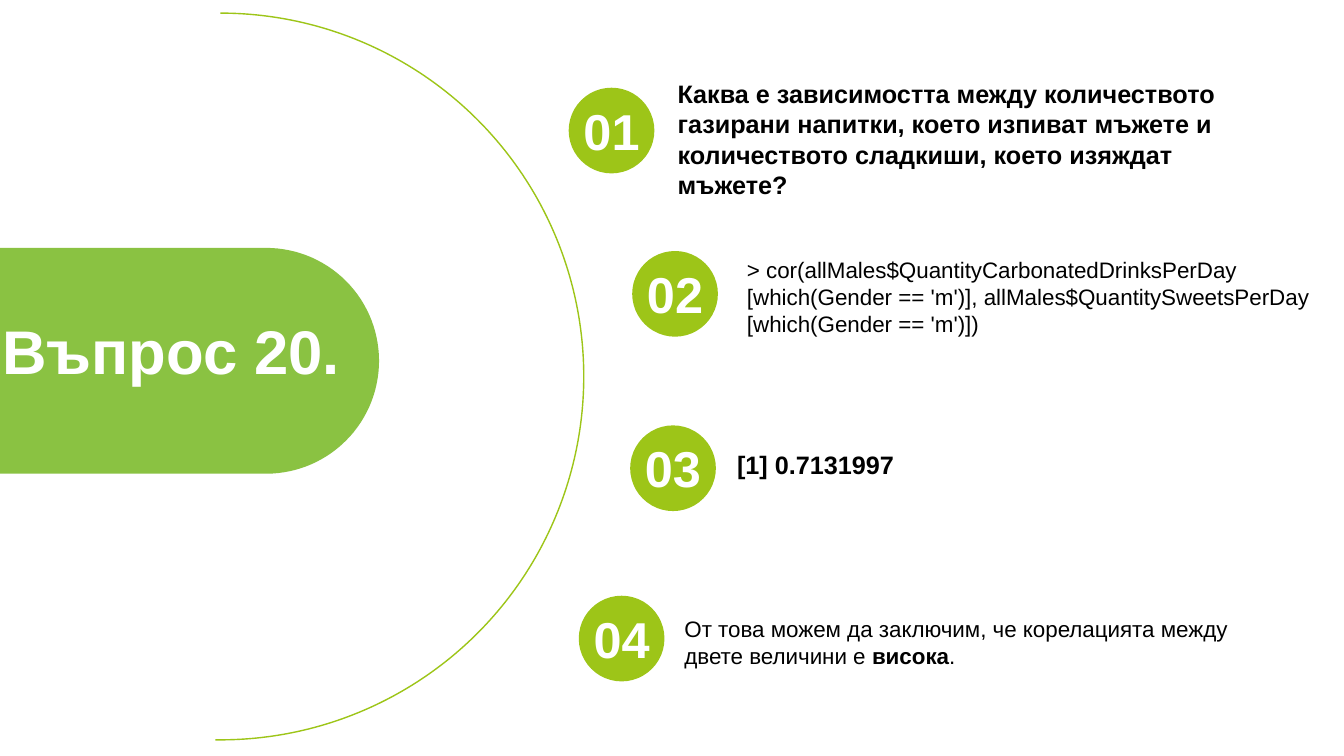
import math
from dataclasses import dataclass

from lxml import etree
from pptx import Presentation
from pptx.dml.color import RGBColor
from pptx.enum.shapes import MSO_SHAPE
from pptx.enum.text import MSO_ANCHOR, PP_ALIGN
from pptx.oxml.ns import qn
from pptx.util import Inches, Pt

ARC, OVAL = MSO_SHAPE.ARC, MSO_SHAPE.OVAL
TOP, MIDDLE = MSO_ANCHOR.TOP, MSO_ANCHOR.MIDDLE
LEFT, CENTER = PP_ALIGN.LEFT, PP_ALIGN.CENTER
TITLE_ONLY = 5


@dataclass(frozen=True)
class Theme:
    font: str = "Arial"
    lime: RGBColor = RGBColor(0x9D, 0xC5, 0x18)
    green: RGBColor = RGBColor(0x79, 0xBA, 0x27)
    white: RGBColor = RGBColor(0xFF, 0xFF, 0xFF)
    black: RGBColor = RGBColor(0, 0, 0)
    title: int = 44
    number: int = 36
    strong: int = 18
    body: int = 16


THEME = Theme()
BADGE = 0.85

# Badge position, text box (left, top, width, height), inset, size, runs (text, bold)
STEPS = [
    ((5.64, 0.87), (6.6, 0.73, 6.26, 1.31), 0.12, THEME.strong,
     [("Каква е зависимостта между количеството газирани напитки, което "
       "изпиват мъжете и количеството сладкиши, което изяждат мъжете?", True)]),
    ((6.27, 2.49), (7.31, 2.49, 5.92, 0.91), 0.1, THEME.body,
     [("> cor(allMales$QuantityCarbonatedDrinksPerDay [which(Gender == 'm')], "
       "allMales$QuantitySweetsPerDay [which(Gender == 'm')])", False)]),
    ((6.25, 4.22), (7.19, 4.41, 5.91, 0.88), 0.12, THEME.strong,
     [("[1] 0.7131997", True)]),
    ((5.74, 5.91), (6.69, 6.05, 5.96, 0.64), 0.1, THEME.body,
     [("От това можем да заключим, че корелацията между двете величини е ", False),
      ("висока", True), (".", False)]),
]


def write(sp, runs, *, size, color=THEME.black, align=LEFT, anchor=TOP, inset=0.1):
    """Fill a shape with one paragraph of (text, bold) runs."""
    tf = sp.text_frame
    tf.word_wrap = True
    tf.vertical_anchor = anchor
    tf.margin_left = tf.margin_right = Inches(inset)
    tf.margin_top = tf.margin_bottom = Inches(0.05)
    p = tf.paragraphs[0]
    p.alignment = align
    p.line_spacing = 1.0
    for text, bold in runs:
        r = p.add_run()
        r.text = text
        r.font.name = THEME.font
        r.font.size = Pt(size)
        r.font.bold = bold
        r.font.color.rgb = color


def add_textbox(s, box, runs, **fmt):
    write(s.shapes.add_textbox(*map(Inches, box)), runs, **fmt)


def fill_plain(sp, color):
    sp.shadow.inherit = False
    sp.fill.solid()
    sp.fill.fore_color.rgb = color
    sp.line.fill.background()


def add_arc(s, left, top, size):
    sp = s.shapes.add_shape(ARC, Inches(left), Inches(top), Inches(size), Inches(size))
    # Angles in units of 100000/60000 degree: from 270 to about 91 degrees
    sp.adjustments[0], sp.adjustments[1] = 162, 54.458
    sp.shadow.inherit = False
    sp.fill.background()
    sp.line.color.rgb = THEME.lime
    sp.line.width = Pt(1)


def add_pill(s, top, width, height, opacity):
    """Band from the left slide edge with a half-round right end."""
    radius = height / 2
    cx, cy = width - radius, top + radius
    angles = [math.radians(a) for a in range(-90, 91, 3)]
    end = [(Inches(cx + radius * math.cos(a)), Inches(cy + radius * math.sin(a)))
           for a in angles]
    fb = s.shapes.build_freeform(0, Inches(top))
    fb.add_line_segments(end + [(0, Inches(top + height))], close=True)
    sp = fb.convert_to_shape()
    fill_plain(sp, THEME.green)
    color = sp.element.spPr.find(qn("a:solidFill"))[0]
    etree.SubElement(color, qn("a:alpha")).set("val", str(opacity * 1000))


def add_title(s, text, box):
    sp = s.shapes.title
    sp.left, sp.top, sp.width, sp.height = map(Inches, box)
    write(sp, [(text, True)], size=THEME.title, color=THEME.white, anchor=MIDDLE)
    # Bring the title in front of the pill
    sp.element.getparent().append(sp.element)


def add_badge(s, number, left, top):
    sp = s.shapes.add_shape(OVAL, Inches(left), Inches(top), Inches(BADGE), Inches(BADGE))
    fill_plain(sp, THEME.lime)
    add_textbox(s, (left - 0.1, top + 0.07, BADGE + 0.2, 0.71), [(f"{number:02d}", True)],
                size=THEME.number, color=THEME.white, align=CENTER, inset=0.12)


def main():
    prs = Presentation()
    prs.slide_width, prs.slide_height = Inches(13.33), Inches(7.5)
    s = prs.slides.add_slide(prs.slide_layouts[TITLE_ONLY])

    # Left side: arc and title on its pill
    add_arc(s, -1.42, 0.13, 7.21)
    add_pill(s, 2.46, 3.76, 2.24, opacity=87)
    add_title(s, "Въпрос 20.", (-0.08, 3.05, 4.92, 0.84))

    # Right side: numbered steps
    for number, (badge, box, inset, size, runs) in enumerate(STEPS, start=1):
        add_badge(s, number, *badge)
        add_textbox(s, box, runs, size=size, inset=inset)

    prs.save("out.pptx")


if __name__ == "__main__":
    main()
